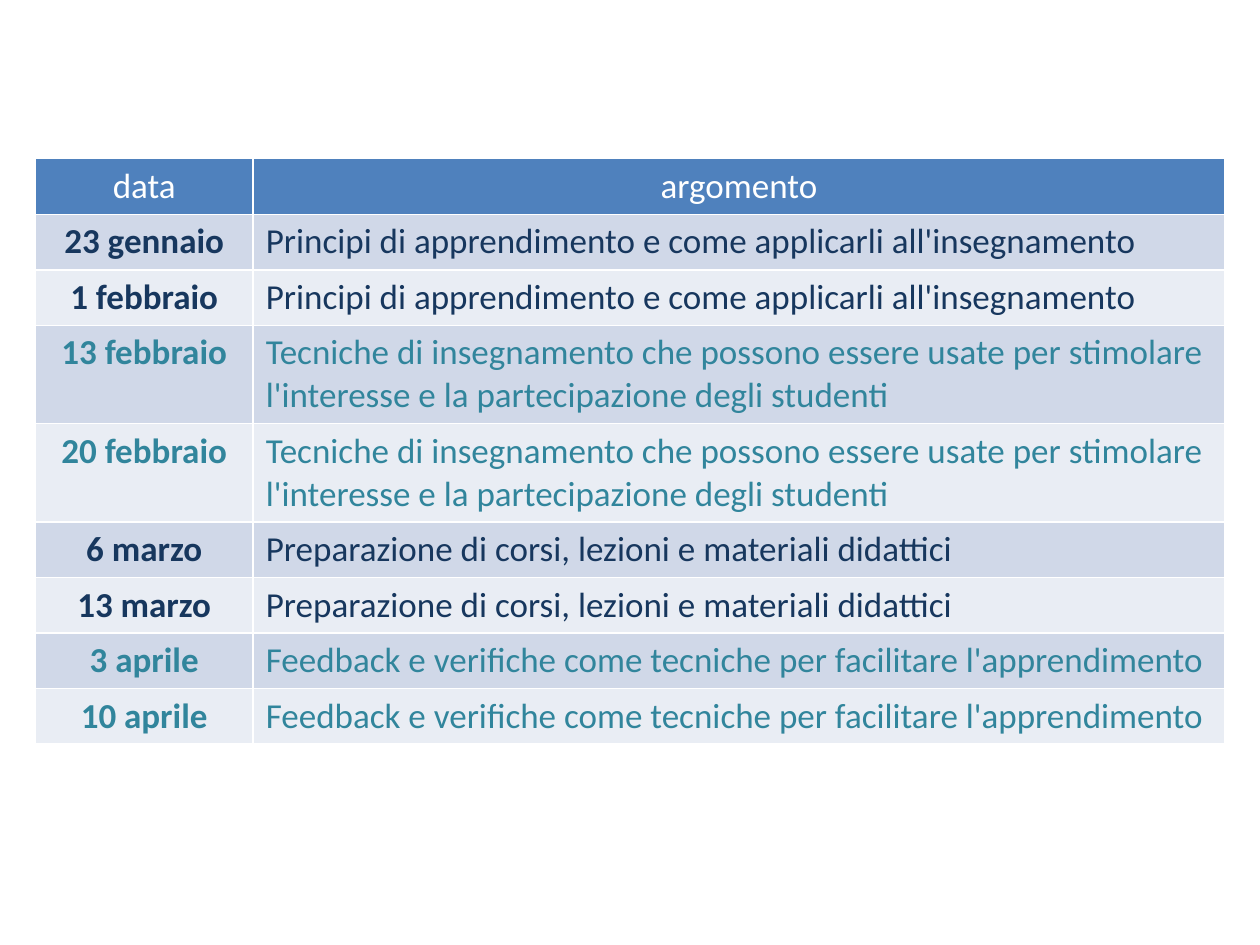
from pptx import Presentation
from pptx.dml.color import RGBColor
from pptx.enum.text import PP_ALIGN
from pptx.util import Inches, Pt

CENTER, LEFT = PP_ALIGN.CENTER, PP_ALIGN.LEFT

HEADER = ("data", "argomento")
# Each topic is taught on two dates
TOPICS = [
    ("Principi di apprendimento e come applicarli all'insegnamento",
     ("23 gennaio", "1 febbraio")),
    ("Tecniche di insegnamento che possono essere usate per stimolare "
     "l'interesse e la partecipazione degli studenti",
     ("13 febbraio", "20 febbraio")),
    ("Preparazione di corsi, lezioni e materiali didattici",
     ("6 marzo", "13 marzo")),
    ("Feedback e verifiche come tecniche per facilitare l'apprendimento",
     ("3 aprile", "10 aprile")),
]
TOPIC_COLORS = ("17375E", "31859C")
BAND_FILLS = ("D0D8E8", "E9EDF4")
HEADER_FILL, HEADER_COLOR = "4F81BD", "FFFFFF"

TABLE_LEFT, TABLE_TOP = 0.28, 1.26
COL_WIDTHS = (1.73, 7.71)
ROW_HEIGHT = 0.41


def rgb(value):
    return RGBColor.from_string(value)


def fill_cell(cell, text, fill, color, align, bold=False):
    cell.fill.solid()
    cell.fill.fore_color.rgb = rgb(fill)
    cell.text = text
    p = cell.text_frame.paragraphs[0]
    p.alignment = align
    r = p.runs[0]
    r.font.name = "Calibri"
    r.font.size = Pt(20)
    r.font.bold = bold
    r.font.color.rgb = rgb(color)


def main():
    prs = Presentation()
    prs.slide_width, prs.slide_height = Inches(10), Inches(7.5)
    s = prs.slides.add_slide(prs.slide_layouts[6])

    lessons = [(date, topic, TOPIC_COLORS[i % 2])
               for i, (topic, dates) in enumerate(TOPICS) for date in dates]
    n_rows = len(lessons) + 1
    table = s.shapes.add_table(
        n_rows, len(COL_WIDTHS), Inches(TABLE_LEFT), Inches(TABLE_TOP),
        Inches(sum(COL_WIDTHS)), Inches(ROW_HEIGHT * n_rows)).table
    for column, width in zip(table.columns, COL_WIDTHS):
        column.width = Inches(width)

    for c, text in enumerate(HEADER):
        fill_cell(table.cell(0, c), text, HEADER_FILL, HEADER_COLOR, CENTER)
    for i, (date, topic, color) in enumerate(lessons):
        fill = BAND_FILLS[i % 2]
        fill_cell(table.cell(i + 1, 0), date, fill, color, CENTER, bold=True)
        fill_cell(table.cell(i + 1, 1), topic, fill, color, LEFT)

    prs.save("out.pptx")


if __name__ == "__main__":
    main()
